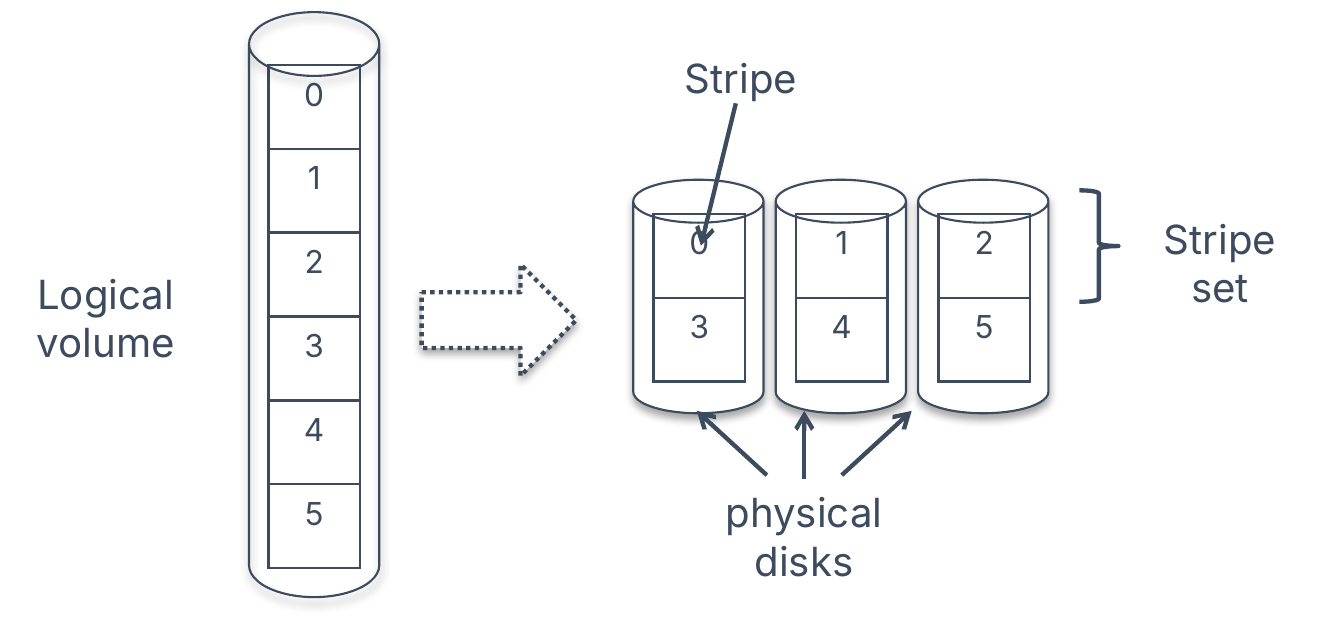
import pptx
import pptx.util
import pptx.enum.shapes
import pptx.enum.text
import pptx.enum.dml
import pptx.dml.color
import pptx.oxml
import pptx.oxml.ns

Cm = pptx.util.Cm
Pt = pptx.util.Pt
SHAPE = pptx.enum.shapes.MSO_SHAPE
COLORS = {"ink": "3C4B5E", "paper": "FFFFFF", "shade": "000000"}
RGB = {name: pptx.dml.color.RGBColor.from_string(code) for name, code in COLORS.items()}
NS = pptx.oxml.ns.nsdecls("a")

deck = pptx.Presentation()
deck.slide_width, deck.slide_height = Cm(16.51), Cm(7.62)
slide = deck.slides.add_slide(deck.slide_layouts[6])


def write(frame, text, size=14, wrap=False):
    frame.word_wrap = wrap
    paragraph = frame.paragraphs[0]
    paragraph.text = text
    paragraph.alignment = pptx.enum.text.PP_ALIGN.CENTER
    for run in paragraph.runs:
        run.font.name = "Inter"
        run.font.size = Pt(size)
        run.font.color.rgb = RGB["ink"]


def outline(kind, box, weight, filled=True, shadow=True):
    shape = slide.shapes.add_shape(kind, *[Cm(v) for v in box])
    shape.shadow.inherit = False
    if shadow:
        shape.element.spPr.find(pptx.oxml.ns.qn("a:effectLst")).append(pptx.oxml.parse_xml(
            f'<a:outerShdw {NS} blurRad="{Pt(3.1)}" dist="{Pt(1.8)}" dir="5400000" rotWithShape="0">'
            f'<a:srgbClr val="{COLORS["shade"]}"><a:alpha val="35000"/></a:srgbClr></a:outerShdw>'))
    if filled:
        shape.fill.solid()
        shape.fill.fore_color.rgb = RGB["paper"]
    else:
        shape.fill.background()
    shape.line.color.rgb = RGB["ink"]
    shape.line.width = Pt(weight)
    return shape


disk_left, disk_step, block_width, block_height = 7.78, 1.75, 1.12, 1.03
for disk_index in range(3):
    disk = outline(SHAPE.CAN, (disk_left + disk_index * disk_step, 2.21, 1.6, 2.87), 0.75)
    disk.adjustments[0] = 0.33

volumes = [(3.3, 0.8, range(6), True)]
volumes += [(disk_left + 0.25 + i * disk_step, 2.63, (i, i + 3), False) for i in range(3)]
for left, top, blocks, filled in volumes:
    stripes = slide.shapes.add_table(
        len(blocks), 1, Cm(left), Cm(top), Cm(block_width), Cm(block_height * len(blocks))).table
    stripes.first_row = stripes.horz_banding = False
    stripes.columns[0].width = Cm(block_width)
    for row, block in enumerate(blocks):
        stripes.rows[row].height = Cm(block_height)
        cell = stripes.cell(row, 0)
        write(cell.text_frame, str(block), size=11, wrap=True)
        if filled:
            cell.fill.solid()
            cell.fill.fore_color.rgb = RGB["paper"]
        else:
            cell.fill.background()
        for position, side in enumerate("LRTB"):
            cell._tc.get_or_add_tcPr().insert(position, pptx.oxml.parse_xml(
                f'<a:ln{side} {NS} w="{Pt(1)}"><a:solidFill><a:srgbClr val="{COLORS["ink"]}"/>'
                f'</a:solidFill></a:ln{side}>'))

becomes = outline(SHAPE.RIGHT_ARROW, (5.18, 3.25, 1.9, 1.37), 1.5)
becomes.line.dash_style = pptx.enum.dml.MSO_LINE.ROUND_DOT
outline(SHAPE.RIGHT_BRACE, (13.26, 2.34, 0.48, 1.37), 1.5, filled=False, shadow=False)

pointers = [
    (10.34, 5.84, 11.2, 5.05),
    (9.88, 5.89, 9.88, 5.05),
    (9.42, 5.84, 8.56, 5.05),
    (9.04, 1.27, 8.61, 3.02),
]
for ends in pointers:
    pointer = slide.shapes.add_connector(
        pptx.enum.shapes.MSO_CONNECTOR.STRAIGHT, *[Cm(v) for v in ends])
    pointer.line.color.rgb = RGB["ink"]
    pointer.line.width = Pt(1.5)
    pointer.line._get_or_add_ln().append(pptx.oxml.parse_xml(f'<a:tailEnd {NS} type="arrow"/>'))
    pointer._element.spPr.append(pptx.oxml.parse_xml(f"<a:effectLst {NS}/>"))

labels = [
    ("physical\vdisks", 8.66, 5.87, 2.44, 1.45, False),
    ("Logical\vvolume", 0.18, 3.18, 2.24, 1.45, False),
    ("Stripe set", 13.87, 2.51, 2.24, 1.45, True),
    ("Stripe", 8.15, 0.53, 1.91, 0.86, False),
]
for text, left, top, width, height, wrap in labels:
    label = slide.shapes.add_textbox(Cm(left), Cm(top), Cm(width), Cm(height))
    write(label.text_frame, text, wrap=wrap)

logical_volume = outline(SHAPE.CAN, (3.06, 0.15, 1.6, 7.19), 0.75, filled=False)
logical_volume.adjustments[0] = 0.49

deck.save("out.pptx")
